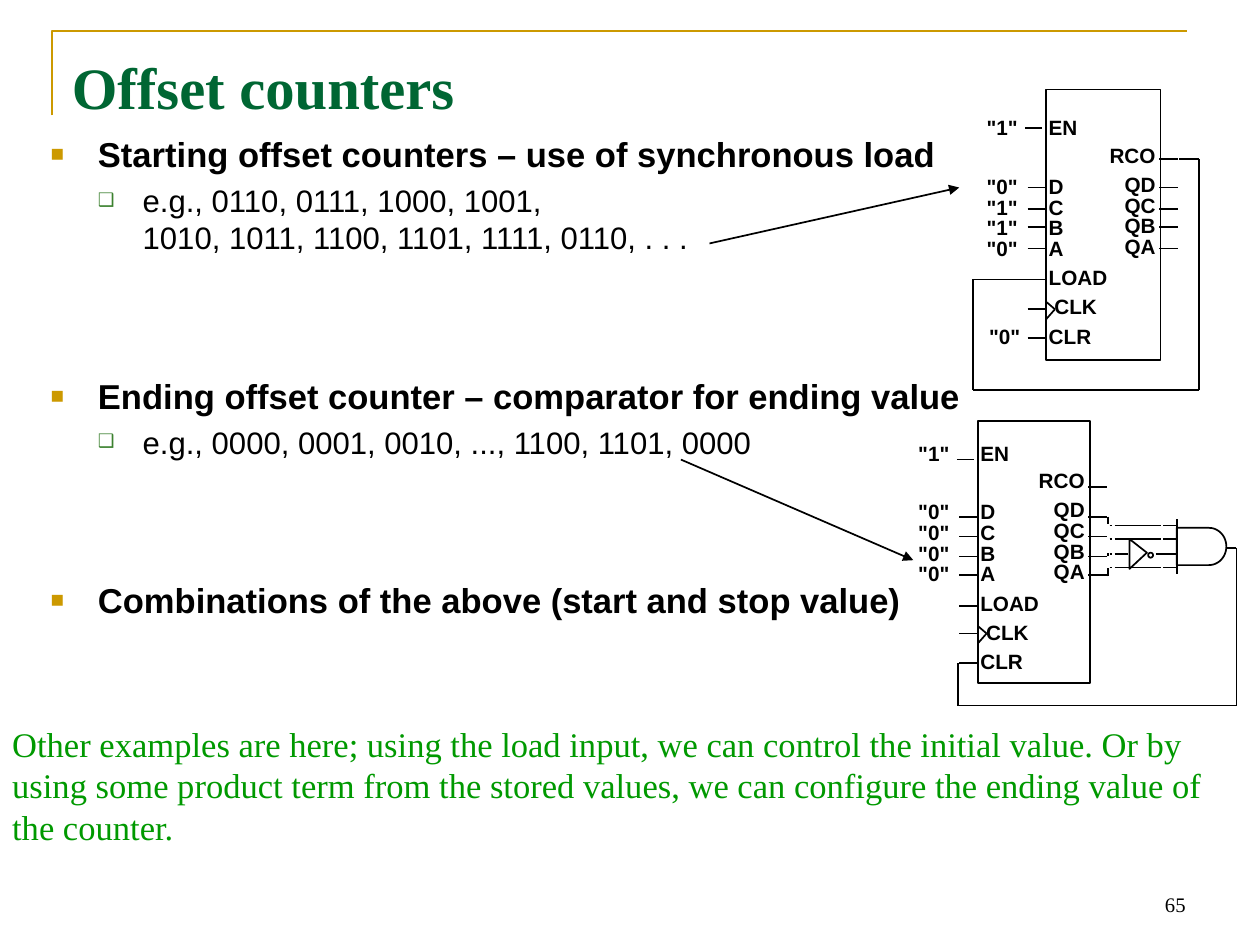
from dataclasses import dataclass
from math import cos, pi, sin

from lxml import etree
from pptx import Presentation
from pptx.dml.color import RGBColor
from pptx.enum.shapes import MSO_CONNECTOR, MSO_SHAPE
from pptx.enum.text import MSO_ANCHOR, PP_ALIGN
from pptx.oxml.ns import qn
from pptx.util import Inches, Pt

STRAIGHT = MSO_CONNECTOR.STRAIGHT
RECTANGLE, OVAL = MSO_SHAPE.RECTANGLE, MSO_SHAPE.OVAL
LEFT, RIGHT = PP_ALIGN.LEFT, PP_ALIGN.RIGHT
TOP, BOTTOM = MSO_ANCHOR.TOP, MSO_ANCHOR.BOTTOM


@dataclass(frozen=True)
class Theme:
    """Colours, fonts and type sizes of the slide."""
    ink: str = "000000"
    paper: str = "FFFFFF"
    gold: str = "CC9900"
    leaf: str = "3B812F"
    title: str = "006633"
    remark: str = "009900"
    sans: str = "Arial"
    serif: str = "Times New Roman"
    title_size: int = 34
    head_size: int = 20
    example_size: int = 18
    pin_size: int = 12


THEME = Theme()
PIN_FONT = dict(name=THEME.sans, size=THEME.pin_size, bold=True, color=THEME.ink)
SLOT = 22

OUTLINE = [
    ("Starting offset counters – use of synchronous load", 0, 0),
    ("e.g., 0110, 0111, 1000, 1001,\n1010, 1011, 1100, 1101, 1111, 0110, . . .", 1, 4),
    ("Ending offset counter – comparator for ending value", 0, 69),
    ("e.g., 0000, 0001, 0010, ..., 1100, 1101, 0000", 1, 4),
    ("Combinations of the above (start and stop value)", 0, 69),
]
LEVELS = [
    dict(mark="■", color=THEME.gold, scale=65, margin=0.38, hang=0.38,
         font=dict(name=THEME.sans, size=THEME.head_size, bold=True, color=THEME.ink)),
    dict(mark="❑", color=THEME.leaf, scale=60, margin=0.74, hang=0.36,
         font=dict(name=THEME.sans, size=THEME.example_size, bold=False, color=THEME.ink)),
]


def set_font(paragraph, font):
    """Apply a dict of font values to a paragraph."""
    values = dict(font, size=Pt(font["size"]))
    paragraph.font.color.rgb = RGBColor.from_string(values.pop("color"))
    for key, value in values.items():
        setattr(paragraph.font, key, value)


def add_text(slide, box, lines, font, inset=(0.1, 0.05), fill=None, anchor=TOP, **spacing):
    """Add a text box of (text, space after) lines and return its paragraphs."""
    area = slide.shapes.add_textbox(*map(Inches, box))
    if fill:
        area.fill.solid()
        area.fill.fore_color.rgb = RGBColor.from_string(fill)
    frame = area.text_frame
    side, edge = map(Inches, inset)
    settings = dict(word_wrap=True, vertical_anchor=anchor, margin_left=side,
                    margin_right=side, margin_top=edge, margin_bottom=edge)
    for key, value in settings.items():
        setattr(frame, key, value)
    for index, (text, after) in enumerate(lines):
        paragraph = frame.add_paragraph() if index else frame.paragraphs[0]
        paragraph.text = text
        for key, value in dict(spacing, space_after=Pt(after)).items():
            setattr(paragraph, key, value)
        set_font(paragraph, font)


def add_pin_text(slide, box, lines, alignment=LEFT):
    """Add a tightly set column of pin labels."""
    add_text(slide, box, lines, PIN_FONT, inset=(0.02, 0.03),
             alignment=alignment, line_spacing=Pt(12))


def add_bullet(paragraph, level):
    """Give a paragraph its hanging indent and bullet."""
    props = paragraph._p.get_or_add_pPr()
    props.set("marL", str(Inches(level["margin"])))
    props.set("indent", str(-Inches(level["hang"])))
    color = etree.SubElement(props, qn("a:buClr"))
    etree.SubElement(color, qn("a:srgbClr"), val=level["color"])
    etree.SubElement(props, qn("a:buSzPct"), val=str(level["scale"] * 1000))
    etree.SubElement(props, qn("a:buFont"), typeface=level["font"]["name"])
    etree.SubElement(props, qn("a:buChar"), char=level["mark"])


def add_outline(slide):
    """Add the bulleted outline."""
    frame = slide.shapes.add_textbox(*map(Inches, (0.31, 1.02, 9.12, 4.99))).text_frame
    frame.word_wrap = True
    for index, (text, depth, before) in enumerate(OUTLINE):
        paragraph = frame.add_paragraph() if index else frame.paragraphs[0]
        paragraph.text = text
        paragraph.level = depth
        paragraph.space_before = Pt(before)
        add_bullet(paragraph, LEVELS[depth])
        set_font(paragraph, LEVELS[depth]["font"])


def set_line(shape, color=THEME.ink, width=1):
    """Set the outline of a shape."""
    shape.line.color.rgb = RGBColor.from_string(color)
    shape.line.width = Pt(width)


def add_wire(slide, start, end, arrow=False):
    """Add a straight line, with an arrowhead at its end if asked."""
    wire = slide.shapes.add_connector(STRAIGHT, *map(Inches, (*start, *end)))
    set_line(wire)
    if arrow:
        etree.SubElement(wire.line._get_or_add_ln(), qn("a:tailEnd"), type="triangle")
    etree.SubElement(wire._element.spPr, qn("a:effectLst"))


def add_route(slide, *points):
    """Add wires from point to point."""
    for start, end in zip(points, points[1:]):
        add_wire(slide, start, end)


def add_outline_shape(slide, kind, box):
    """Add an unfilled preset shape."""
    shape = slide.shapes.add_shape(kind, *map(Inches, box))
    shape.shadow.inherit = False
    shape.fill.background()
    set_line(shape)


def add_path(slide, points, closed=False, color=THEME.ink, width=1):
    """Add an unfilled freeform through the points."""
    corners = [(Inches(x), Inches(y)) for x, y in points]
    builder = slide.shapes.build_freeform(*corners[0], scale=1.0)
    builder.add_line_segments(corners[1:], close=closed)
    path = builder.convert_to_shape()
    path.shadow.inherit = False
    path.fill.background()
    set_line(path, color, width)


def add_counter(slide, body, inputs, outputs, label_top, load_value):
    """Add a counter chip with its pins, pin names and input values."""
    left, _, width, _ = body
    right = left + width
    add_outline_shape(slide, RECTANGLE, body)
    for index, y in enumerate(inputs):
        shift = 0 if index else 0.02
        add_wire(slide, (left - 0.15 - shift, y), (left - 0.01 - shift, y))
    for y in outputs:
        add_wire(slide, (right - 0.01, y), (right + 0.14, y))
    clock = inputs[-2]
    add_route(slide, (left, clock - 0.06), (left + 0.07, clock), (left, clock + 0.08))
    names = [("EN", SLOT), ("D\nC\nB\nA", 5), ("LOAD", 5), (" CLK", 5), ("CLR", 5)]
    add_pin_text(slide, (left, label_top, 1.1, 2.06), names)
    add_pin_text(slide, (right - 1.12, label_top + 0.22, 1.1, 1.11),
                 [("RCO", 5), ("QD\nQC\nQB\nQA", 5)], RIGHT)
    values = "\n".join(f'"{bit}"' for bit in load_value)
    add_pin_text(slide, (left - 0.5, label_top, 0.5, 1.58), [('"1"', SLOT), (values, 5)])


def add_start_counter(slide):
    """Add the counter that reloads its starting value."""
    add_counter(slide, (8.42, 0.72, 0.92, 2.18),
                (1.03, 1.51, 1.68, 1.83, 2, 2.25, 2.49, 2.72),
                (1.28, 1.51, 1.68, 1.83, 2), 0.93, "0110")
    add_pin_text(slide, (7.94, 2.61, 0.62, 0.4), [('"0"', 0)])
    add_route(slide, (9.49, 1.28), (9.65, 1.28), (9.65, 3.14),
              (7.83, 3.14), (7.83, 2.25), (8.33, 2.25))


def add_end_counter(slide):
    """Add the counter that is cleared by a comparator gate."""
    add_counter(slide, (7.87, 3.39, 0.9, 2.11),
                (3.7, 4.16, 4.32, 4.48, 4.63, 4.88, 5.1, 5.34),
                (3.92, 4.16, 4.32, 4.48, 4.63), 3.55, "0000")
    for start, end in ((4.16, 4.22), (4.48, 4.45), (4.64, 4.57)):
        add_wire(slide, (8.92, start), (8.92, end))
    for y in (4.23, 4.34, 4.46, 4.57):
        inverted = y == 4.46
        spans = [(8.97, 9.08), (9.3, 9.41)] if inverted else [(8.97, 9.34)]
        for start, end in [(8.93, 8.95), *spans, (9.36, 9.47)]:
            add_wire(slide, (start, y), (end, y))
    add_path(slide, [(9.09, 4.34), (9.23, 4.45), (9.09, 4.58)], closed=True)
    add_outline_shape(slide, OVAL, (9.24, 4.45, 0.04, 0.04))
    angles = [pi * (step / 24 - 0.5) for step in range(25)]
    arc = [(9.73 + 0.14 * cos(a), 4.4 + 0.15 * sin(a)) for a in angles]
    add_path(slide, [(9.47, 4.25), *arc, (9.47, 4.55)], closed=True)
    add_wire(slide, (9.47, 4.18), (9.47, 4.62))
    add_route(slide, (9.87, 4.41), (9.95, 4.41), (9.95, 5.68), (7.71, 5.68), (7.71, 5.34))


def main():
    """Build the slide and save it."""
    deck = Presentation()
    deck.slide_width, deck.slide_height = Inches(10.14), Inches(7.6)
    slide = deck.slides.add_slide(deck.slide_layouts[6])
    add_path(slide, [(0.42, 0.93), (0.42, 0.25), (9.55, 0.25)], color=THEME.gold, width=1.5)
    add_text(slide, (0.48, 0.36, 9.12, 0.65), [("Offset counters", 0)],
             dict(name=THEME.serif, size=THEME.title_size, bold=True, color=THEME.title))
    add_outline(slide)
    add_end_counter(slide)
    add_start_counter(slide)
    add_wire(slide, (5.71, 1.96), (7.72, 1.51), arrow=True)
    add_wire(slide, (5.48, 3.7), (7.35, 4.51), arrow=True)
    remark = ("Other examples are here; using the load input, we can control the initial value. "
              "Or by using some product term from the stored values, we can configure the "
              "ending value of the counter.")
    add_text(slide, (0, 5.77, 10.14, 1.1), [(remark, 0)],
             dict(name=THEME.serif, size=THEME.head_size, color=THEME.remark), fill=THEME.paper)
    add_text(slide, (7.27, 6.92, 2.37, 0.51), [("65", 0)],
             dict(name=THEME.serif, size=THEME.pin_size, color=THEME.ink),
             anchor=BOTTOM, alignment=RIGHT)
    deck.save("out.pptx")


if __name__ == "__main__":
    main()
